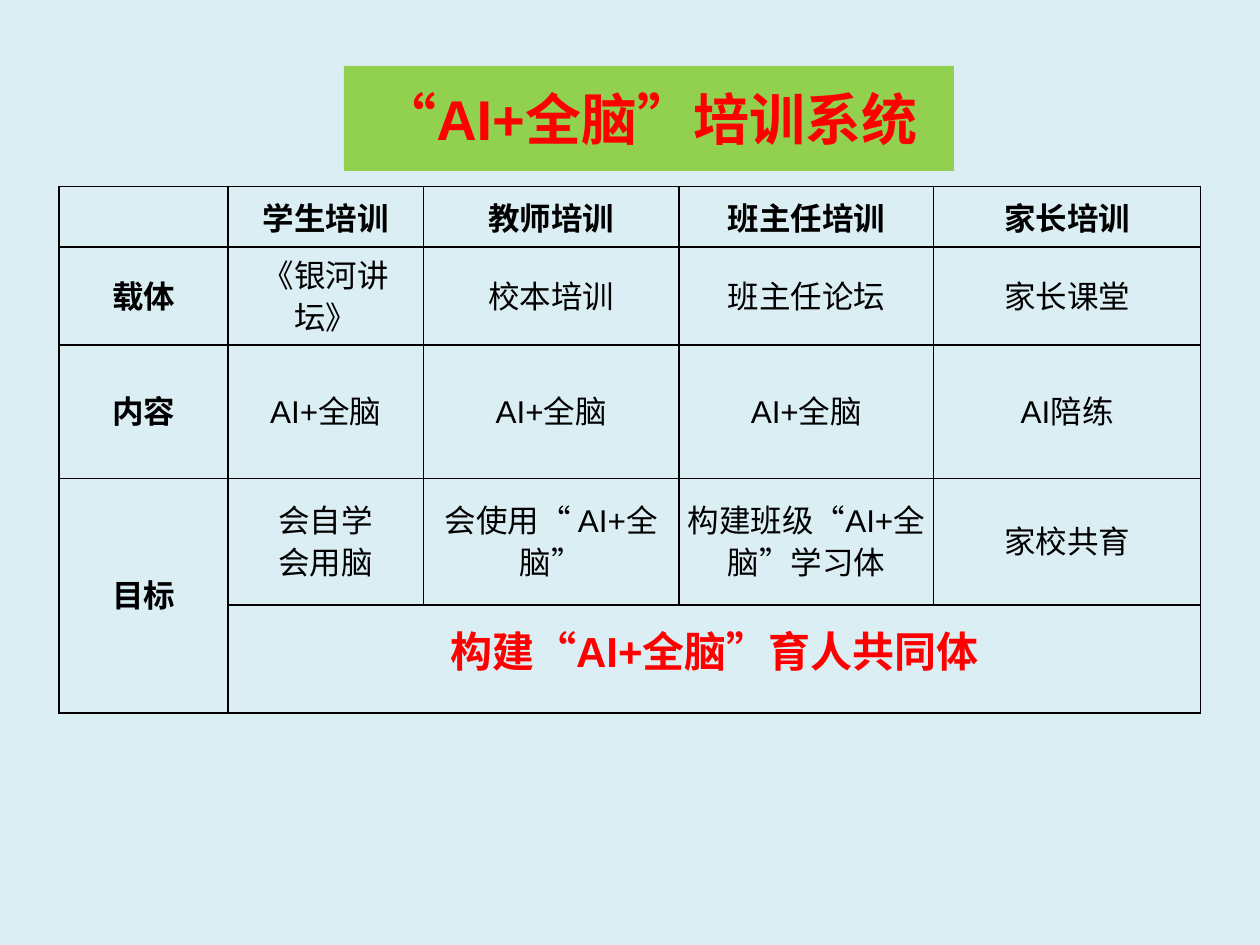
from lxml import etree
from pptx import Presentation
from pptx.dml.color import RGBColor
from pptx.enum.lang import MSO_LANGUAGE_ID
from pptx.enum.text import MSO_ANCHOR, MSO_AUTO_SIZE, PP_ALIGN
from pptx.oxml.ns import qn
from pptx.util import Inches, Pt

MIDDLE = MSO_ANCHOR.MIDDLE
CENTER = PP_ALIGN.CENTER
GROW = MSO_AUTO_SIZE.SHAPE_TO_FIT_TEXT
CHINESE = MSO_LANGUAGE_ID.SIMPLIFIED_CHINESE
PALE = RGBColor(0xDB, 0xEE, 0xF4)
GREEN = RGBColor(0x92, 0xD0, 0x50)
RED = RGBColor(0xFF, 0, 0)
BLACK = RGBColor(0, 0, 0)

COLS = [1.34, 1.55, 2.03, 2.02, 2.12]
ROWS = [0.48, 0.78, 1.06, 0.95, 0.86]
TEXTS = [
    ["", "学生培训", "教师培训", "班主任培训", "家长培训"],
    ["载体", "《银河讲坛》", "校本培训", "班主任论坛", "家长课堂"],
    ["内容", "AI+全脑", "AI+全脑", "AI+全脑", "AI陪练"],
    ["目标", "会自学\n会用脑", "会使用“ AI+全脑”", "构建班级“AI+全脑”学习体", "家校共育"],
    ["", "构建“AI+全脑”育人共同体", "", "", ""],
]


def write(frame, text, size, color, bold, space=None):
    frame.text = text
    look = {"name": "Arial", "size": Pt(size), "bold": bold, "language_id": CHINESE}
    for para in frame.paragraphs:
        para.alignment = CENTER
        para.line_spacing = space
        for run in para.runs:
            run.font.color.rgb = color
            for key, value in look.items():
                setattr(run.font, key, value)


def border(cell):
    props = cell._tc.get_or_add_tcPr()
    for side in ("lnL", "lnR", "lnT", "lnB"):
        line = etree.SubElement(props, qn("a:" + side), w=str(Pt(1)))
        fill = etree.SubElement(line, qn("a:solidFill"))
        etree.SubElement(fill, qn("a:srgbClr"), val=str(BLACK))


# Slide and background
prs = Presentation()
prs.slide_width, prs.slide_height = Inches(10), Inches(7.5)
slide = prs.slides.add_slide(prs.slide_layouts[5])
slide.background.fill.solid()
slide.background.fill.fore_color.rgb = PALE

# Title band
title = slide.shapes.title
place = {"left": 2.73, "top": 0.62, "width": 4.84, "height": 0.64}
for key, value in place.items():
    setattr(title, key, Inches(value))
title.fill.solid()
title.fill.fore_color.rgb = GREEN
frame = title.text_frame
write(frame, "“AI+全脑”培训系统", 32, RED, True)
frame.vertical_anchor = MIDDLE
frame.auto_size = GROW

# Table grid, centred across the slide
wide, high = Inches(sum(COLS)), Inches(sum(ROWS))
left = (prs.slide_width - wide) // 2
table = slide.shapes.add_table(
    len(ROWS), len(COLS), left, Inches(1.48), wide, high).table
table.first_row = table.horz_banding = False
for col, size in zip(table.columns, COLS):
    col.width = Inches(size)
for row, size in zip(table.rows, ROWS):
    row.height = Inches(size)

# Cells: bold heads, plain body, red goal in the last row
inset = {"margin_left": Inches(0.05), "margin_right": Inches(0.05),
         "margin_top": 0, "margin_bottom": 0, "vertical_anchor": MIDDLE}
last = len(ROWS) - 1
for r, line in enumerate(TEXTS):
    for c, text in enumerate(line):
        cell = table.cell(r, c)
        goal = r == last
        write(cell.text_frame, text, 24 if goal else 18, RED if goal else BLACK,
              goal or r == 0 or c == 0, Pt(26 if r == 0 else 24))
        for key, value in inset.items():
            setattr(cell, key, value)
        border(cell)
        cell.fill.background()

# Merged cells
table.cell(last - 1, 0).merge(table.cell(last, 0))
table.cell(last, 1).merge(table.cell(last, len(COLS) - 1))

prs.save("out.pptx")
